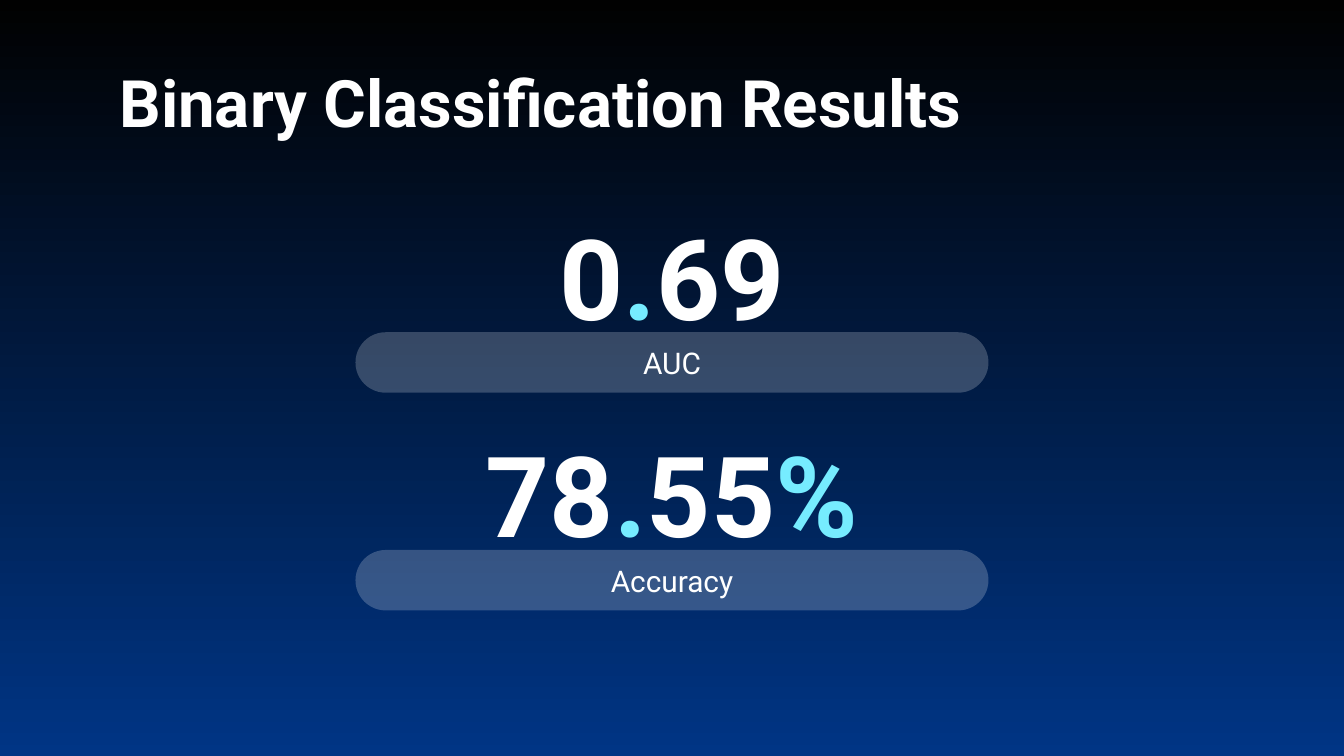
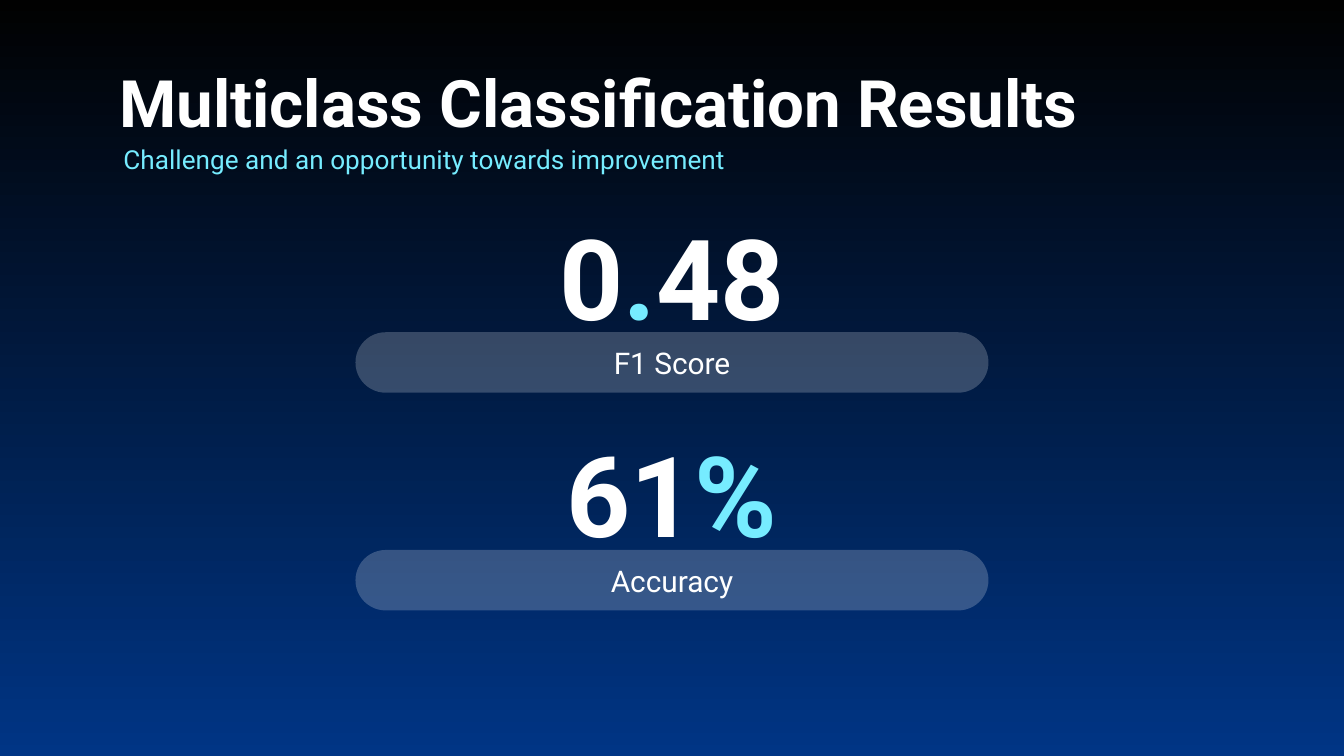
from pptx import Presentation
from pptx.dml.color import RGBColor
from pptx.enum.shapes import MSO_SHAPE
from pptx.enum.text import MSO_ANCHOR, MSO_AUTO_SIZE, PP_ALIGN
from pptx.oxml.ns import qn
from pptx.util import Inches, Pt
from lxml import etree

ROUND = MSO_SHAPE.ROUNDED_RECTANGLE
TOP, MIDDLE = MSO_ANCHOR.TOP, MSO_ANCHOR.MIDDLE
LEFT, CENTER = PP_ALIGN.LEFT, PP_ALIGN.CENTER
GROW = MSO_AUTO_SIZE.SHAPE_TO_FIT_TEXT

WIDE = Inches(10)
HIGH = WIDE * 9 // 16
FONT = "Roboto"
WHITE, CYAN, BLUE, BLACK = "FFFFFF", "76ECFF", "003585", "010101"
OPAQUE = 21
PITCH = 28.8

RESULTS = [
    ("Binary Classification Results", None,
     [("0.69", "AUC"), ("78.55%", "Accuracy")]),
    ("Multiclass Classification Results",
     "Challenge and an opportunity towards improvement",
     [("0.48", "F1 Score"), ("61%", "Accuracy")]),
]


def paint(color, value):
    color.rgb = RGBColor.from_string(value)


def place(left, top, width, height):
    return [round(size * share / 100) for size, share in
            ((WIDE, left), (HIGH, top), (WIDE, width), (HIGH, height))]


def center(top, width, height):
    return place((100 - width) / 2, top, width, height)


def backdrop(slide):
    fill = slide.background.fill
    fill.gradient()
    fill.gradient_angle = 90
    for stop, value in zip(fill.gradient_stops, (BLUE, BLACK)):
        paint(stop.color, value)


def write(slide, box, runs, size, bold=False, align=LEFT, anchor=TOP, inset=0.1):
    frame = slide.shapes.add_textbox(*box).text_frame
    frame.word_wrap = True
    frame.vertical_anchor = anchor
    frame.margin_left = frame.margin_right = Inches(inset)
    frame.margin_top = frame.margin_bottom = Inches(inset)
    line = frame.paragraphs[0]
    line.alignment = align
    for text, value in runs:
        run = line.add_run()
        run.text = text
        run.font.name = FONT
        run.font.size = Pt(size)
        run.font.bold = bold
        paint(run.font.color, value)
    return frame


def split(figure):
    runs = []
    for mark in figure:
        value = CYAN if mark in ".%" else WHITE
        if runs and runs[-1][1] == value:
            runs[-1] = (runs[-1][0] + mark, value)
        else:
            runs.append((mark, value))
    return runs


def pill(slide, box):
    shape = slide.shapes.add_shape(ROUND, *box)
    shape.adjustments[0] = 0.5
    shape.shadow.inherit = False
    shape.line.fill.background()
    shape.fill.solid()
    paint(shape.fill.fore_color, WHITE)
    color = shape.fill._xPr.find(qn("a:solidFill"))[0]
    etree.SubElement(color, qn("a:alpha")).set("val", str(OPAQUE * 1000))


def metric(slide, shift, figure, label):
    pill(slide, center(43.95 + shift, 47.1, 8))
    write(slide, center(28.3 + shift, 61.8, 16.2), split(figure), 60,
          True, CENTER, MIDDLE, 0)
    write(slide, center(45.35 + shift, 45.5, 5.3), [(label, WHITE)], 16,
          False, CENTER, MIDDLE, 0)


def heading(slide, title, note):
    write(slide, place(7.9, 6.4, 84.3, 12.4), [(title, WHITE)], 35, True)
    if note:
        frame = write(slide, place(8.2, 17.25, 55.4, 7.8), [(note, CYAN)], 14)
        frame.auto_size = GROW


def main():
    deck = Presentation()
    deck.slide_width, deck.slide_height = WIDE, HIGH
    for title, note, metrics in RESULTS:
        slide = deck.slides.add_slide(deck.slide_layouts[6])
        backdrop(slide)
        for row, (figure, label) in enumerate(metrics):
            metric(slide, row * PITCH, figure, label)
        heading(slide, title, note)
    deck.save("out.pptx")


if __name__ == "__main__":
    main()
